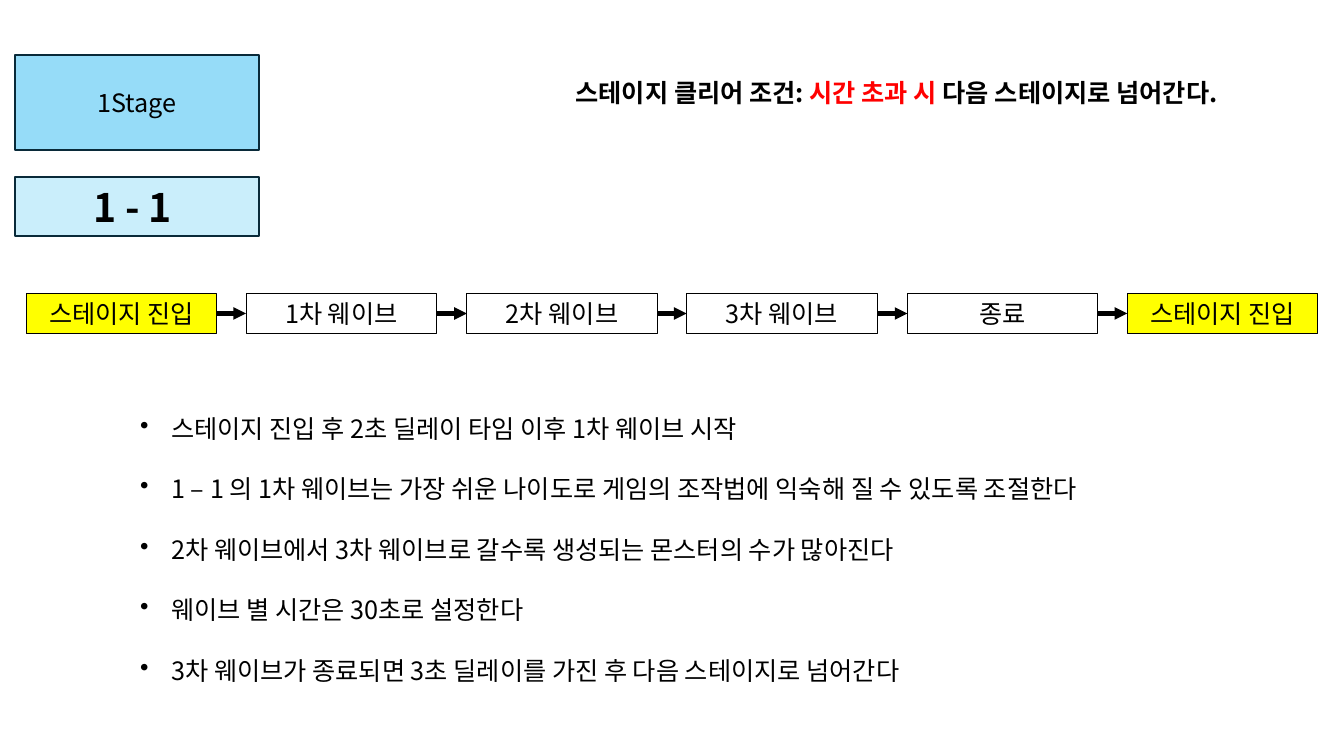
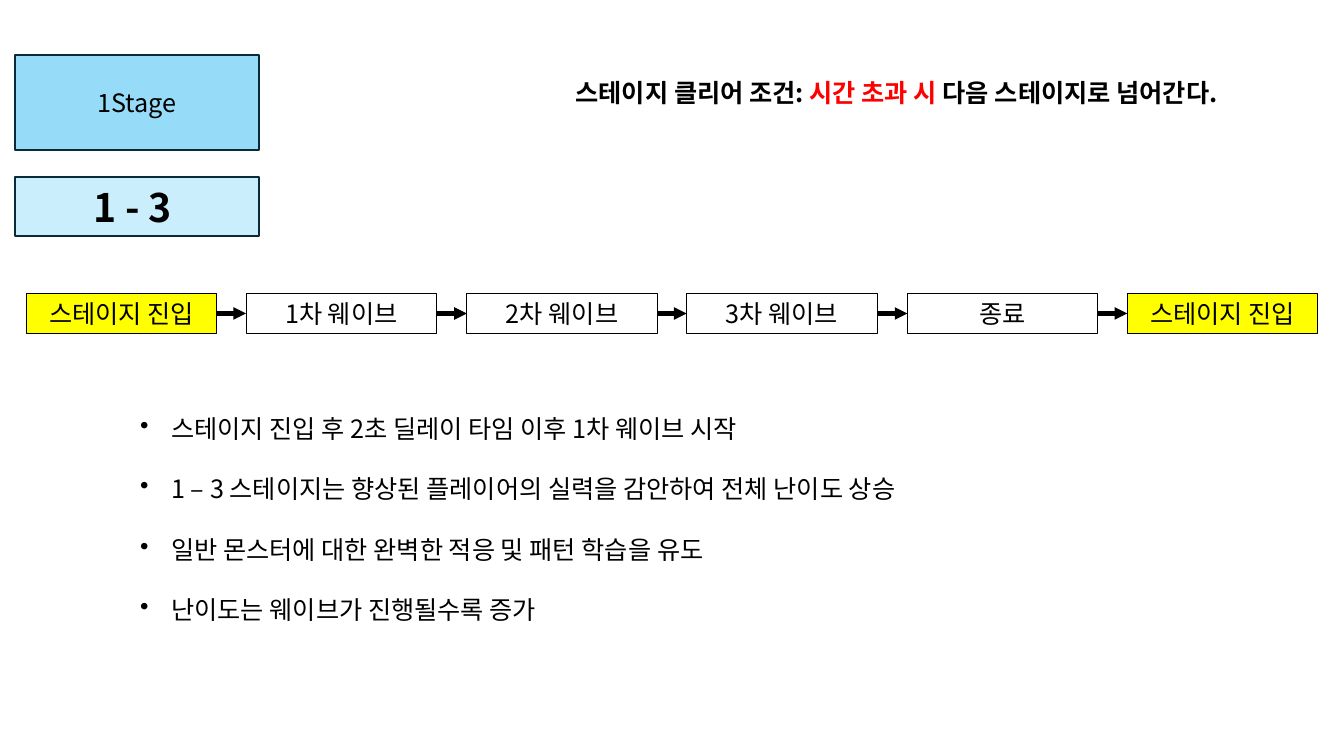
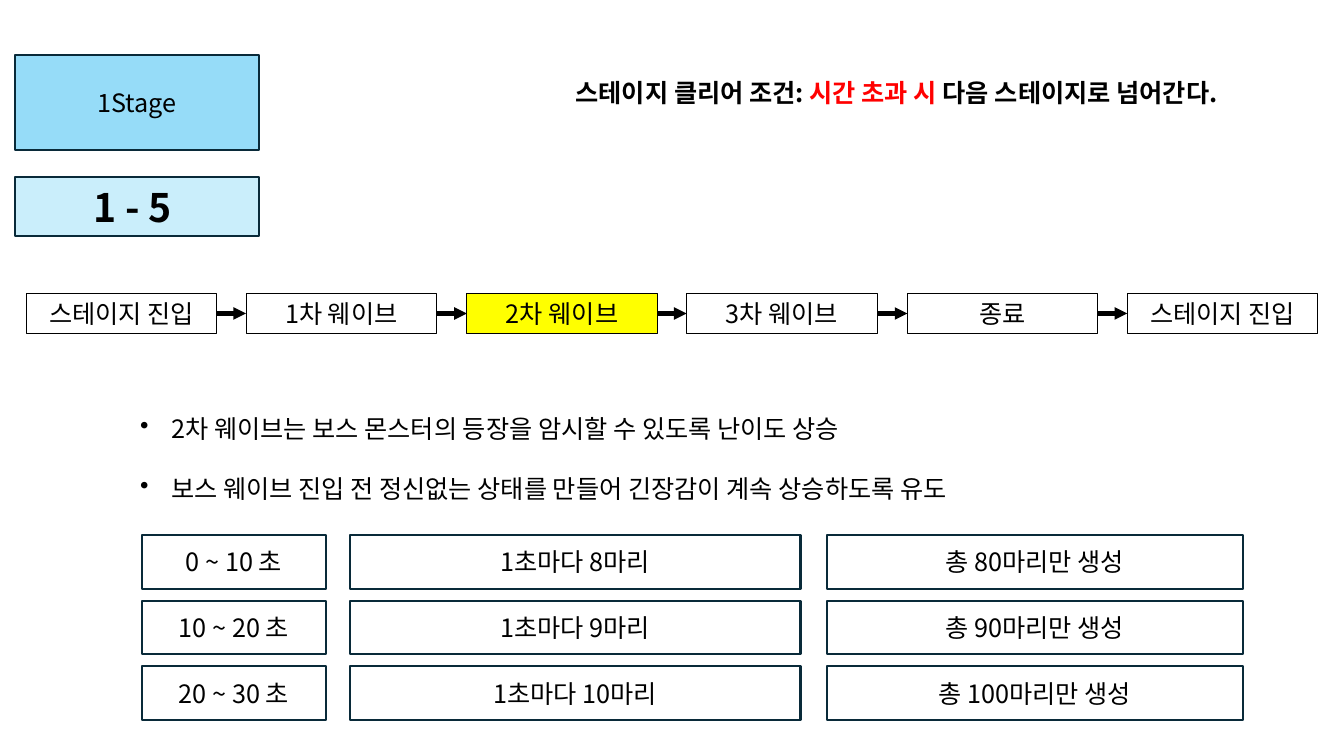
from dataclasses import dataclass
from typing import Optional

from lxml import etree
from pptx import Presentation
from pptx.dml.color import RGBColor
from pptx.enum.shapes import MSO_CONNECTOR, MSO_SHAPE
from pptx.enum.text import MSO_ANCHOR, MSO_AUTO_SIZE, PP_ALIGN
from pptx.oxml.ns import qn
from pptx.shapes.autoshape import Shape
from pptx.slide import Slide
from pptx.text.text import TextFrame
from pptx.util import Pt

RECTANGLE = MSO_SHAPE.RECTANGLE
STRAIGHT = MSO_CONNECTOR.STRAIGHT
TOP, MIDDLE = MSO_ANCHOR.TOP, MSO_ANCHOR.MIDDLE
FIT_SHAPE, NO_FIT = MSO_AUTO_SIZE.SHAPE_TO_FIT_TEXT, MSO_AUTO_SIZE.NONE
LEFT, CENTER = PP_ALIGN.LEFT, PP_ALIGN.CENTER

EMU_PER_PX = 9144  # 100 px to the inch
FONT = "Noto Sans CJK KR"
BLACK = RGBColor(0x00, 0x00, 0x00)
RED = RGBColor(0xFF, 0x00, 0x00)
YELLOW = RGBColor(0xFF, 0xFF, 0x00)
SKY = RGBColor(0x96, 0xDC, 0xF8)
PALE_SKY = RGBColor(0xCA, 0xEE, 0xFB)
NAVY = RGBColor(0x09, 0x2A, 0x39)

# Shared content and grids
CLEAR_CONDITION = (
    ("스테이지 클리어 조건: ", BLACK),
    ("시간 초과 시 ", RED),
    ("다음 스테이지로 넘어간다.", BLACK),
)
FLOW_STEPS = ("스테이지 진입", "1차 웨이브", "2차 웨이브", "3차 웨이브", "종료", "스테이지 진입")
FLOW_FIRST, FLOW_LAST, FLOW_TOP = 26, 1118, 291
FLOW_WIDTH, FLOW_HEIGHT = 189, 40
NOTE_INDENT, NOTE_PITCH = 31, 61
SPAWN_COLUMNS = ((141, 182), (347, 447), (820, 413))  # left, width
SPAWN_TOP, SPAWN_PITCH, SPAWN_HEIGHT = 531, 65, 53


@dataclass(frozen=True)
class Box:
    left: int
    top: int
    width: int
    height: int

    def emu(self) -> tuple[int, ...]:
        return tuple(px(v) for v in (self.left, self.top, self.width, self.height))


@dataclass(frozen=True)
class Stage:
    number: str
    active_steps: tuple[int, ...]
    notes: tuple[str, ...]
    spawns: tuple[tuple[str, str, str], ...] = ()


STAGES = (
    Stage("1 - 1 ", (0, 5), (
        "스테이지 진입 후 2초 딜레이 타임 이후 1차 웨이브 시작",
        "1 – 1 의 1차 웨이브는 가장 쉬운 나이도로 게임의 조작법에 익숙해 질 수 있도록 조절한다",
        "2차 웨이브에서 3차 웨이브로 갈수록 생성되는 몬스터의 수가 많아진다",
        "웨이브 별 시간은 30초로 설정한다",
        "3차 웨이브가 종료되면 3초 딜레이를 가진 후 다음 스테이지로 넘어간다",
    )),
    Stage("1 - 3 ", (0, 5), (
        "스테이지 진입 후 2초 딜레이 타임 이후 1차 웨이브 시작",
        "1 – 3 스테이지는 향상된 플레이어의 실력을 감안하여 전체 난이도 상승",
        "일반 몬스터에 대한 완벽한 적응 및 패턴 학습을 유도",
        "난이도는 웨이브가 진행될수록 증가",
    )),
    Stage("1 - 5 ", (2,), (
        "2차 웨이브는 보스 몬스터의 등장을 암시할 수 있도록 난이도 상승",
        "보스 웨이브 진입 전 정신없는 상태를 만들어 긴장감이 계속 상승하도록 유도",
    ), (
        ("0 ~ 10 초", "1초마다 8마리", "총 80마리만 생성"),
        ("10 ~ 20 초", "1초마다 9마리", "총 90마리만 생성"),
        ("20 ~ 30 초", "1초마다 10마리", "총 100마리만 생성"),
    )),
)


def px(value: int) -> int:
    return value * EMU_PER_PX


def write(frame: TextFrame, text: str, *, size: int = 18, bold: bool = False,
          color: RGBColor = BLACK, align: PP_ALIGN = LEFT,
          bullet: bool = False, new_paragraph: bool = False) -> None:
    """Add a run to the last paragraph, or to a new one."""
    paragraph = frame.add_paragraph() if new_paragraph else frame.paragraphs[-1]
    paragraph.alignment = align
    if bullet:
        properties = paragraph._p.get_or_add_pPr()
        properties.set("marL", str(px(NOTE_INDENT)))
        properties.set("indent", str(-px(NOTE_INDENT)))
        etree.SubElement(properties, qn("a:buChar")).set("char", "•")
        paragraph.line_spacing = 2.0
    run = paragraph.add_run()
    run.text = text
    run.font.size = Pt(size)
    run.font.bold = bold
    run.font.color.rgb = color
    run.font.name = FONT
    east_asian = etree.SubElement(run._r.get_or_add_rPr(), qn("a:ea"))
    east_asian.set("typeface", FONT)


def add_panel(slide: Slide, box: Box, text: str, *, fill: Optional[RGBColor] = None,
              line: RGBColor = NAVY, line_width: float = 1.5, size: int = 18,
              bold: bool = False, grow: bool = False) -> Shape:
    panel = slide.shapes.add_shape(RECTANGLE, *box.emu())
    panel.shadow.inherit = False
    if fill is None:
        panel.fill.background()
    else:
        panel.fill.solid()
        panel.fill.fore_color.rgb = fill
    panel.line.color.rgb = line
    panel.line.width = Pt(line_width)
    frame = panel.text_frame
    frame.word_wrap = True
    frame.vertical_anchor = TOP if grow else MIDDLE
    frame.auto_size = FIT_SHAPE if grow else NO_FIT
    write(frame, text, size=size, bold=bold, align=CENTER)
    return panel


def add_text_frame(slide: Slide, box: Box) -> TextFrame:
    frame = slide.shapes.add_textbox(*box.emu()).text_frame
    frame.word_wrap = True
    frame.auto_size = FIT_SHAPE
    return frame


def add_arrow(slide: Slide, source: Shape, target: Shape) -> None:
    arrow = slide.shapes.add_connector(STRAIGHT, 0, 0, 0, 0)
    arrow.begin_connect(source, 3)
    arrow.end_connect(target, 1)
    arrow.line.color.rgb = BLACK
    arrow.line.width = Pt(3)
    head = etree.SubElement(arrow.line._get_or_add_ln(), qn("a:tailEnd"))
    head.set("type", "triangle")
    etree.SubElement(arrow._element.spPr, qn("a:effectLst"))


def add_flow(slide: Slide, active_steps: tuple[int, ...]) -> None:
    pitch = (FLOW_LAST - FLOW_FIRST) / (len(FLOW_STEPS) - 1)
    previous = None
    for index, label in enumerate(FLOW_STEPS):
        box = Box(FLOW_FIRST + round(index * pitch), FLOW_TOP, FLOW_WIDTH, FLOW_HEIGHT)
        step = add_panel(slide, box, label, line=BLACK, line_width=0.75, grow=True,
                         fill=YELLOW if index in active_steps else None)
        if previous is not None:
            add_arrow(slide, previous, step)
        previous = step


def add_stage(slide: Slide, stage: Stage) -> None:
    # Stage heading
    add_panel(slide, Box(15, 55, 242, 94), "1Stage", fill=SKY)

    # Bulleted notes
    notes = add_text_frame(slide, Box(129, 375, 1092, NOTE_PITCH * len(stage.notes)))
    for index, note in enumerate(stage.notes):
        write(notes, note, bullet=True, new_paragraph=index > 0)

    # Stage number, wave flow and clear condition
    add_panel(slide, Box(15, 176, 242, 58), stage.number, fill=PALE_SKY, size=28, bold=True)
    add_flow(slide, stage.active_steps)
    condition = add_text_frame(slide, Box(561, 72, 739, 40))
    for text, color in CLEAR_CONDITION:
        write(condition, text, color=color, bold=True)

    # Monster spawn grid
    for row, spawn in enumerate(stage.spawns):
        for (left, width), label in zip(SPAWN_COLUMNS, spawn):
            top = SPAWN_TOP + row * SPAWN_PITCH
            add_panel(slide, Box(left, top, width, SPAWN_HEIGHT), label)


def main() -> None:
    deck = Presentation()
    deck.slide_width, deck.slide_height = px(1333), px(750)
    blank = deck.slide_layouts[6]
    for stage in STAGES:
        add_stage(deck.slides.add_slide(blank), stage)
    deck.save("out.pptx")


if __name__ == "__main__":
    main()
